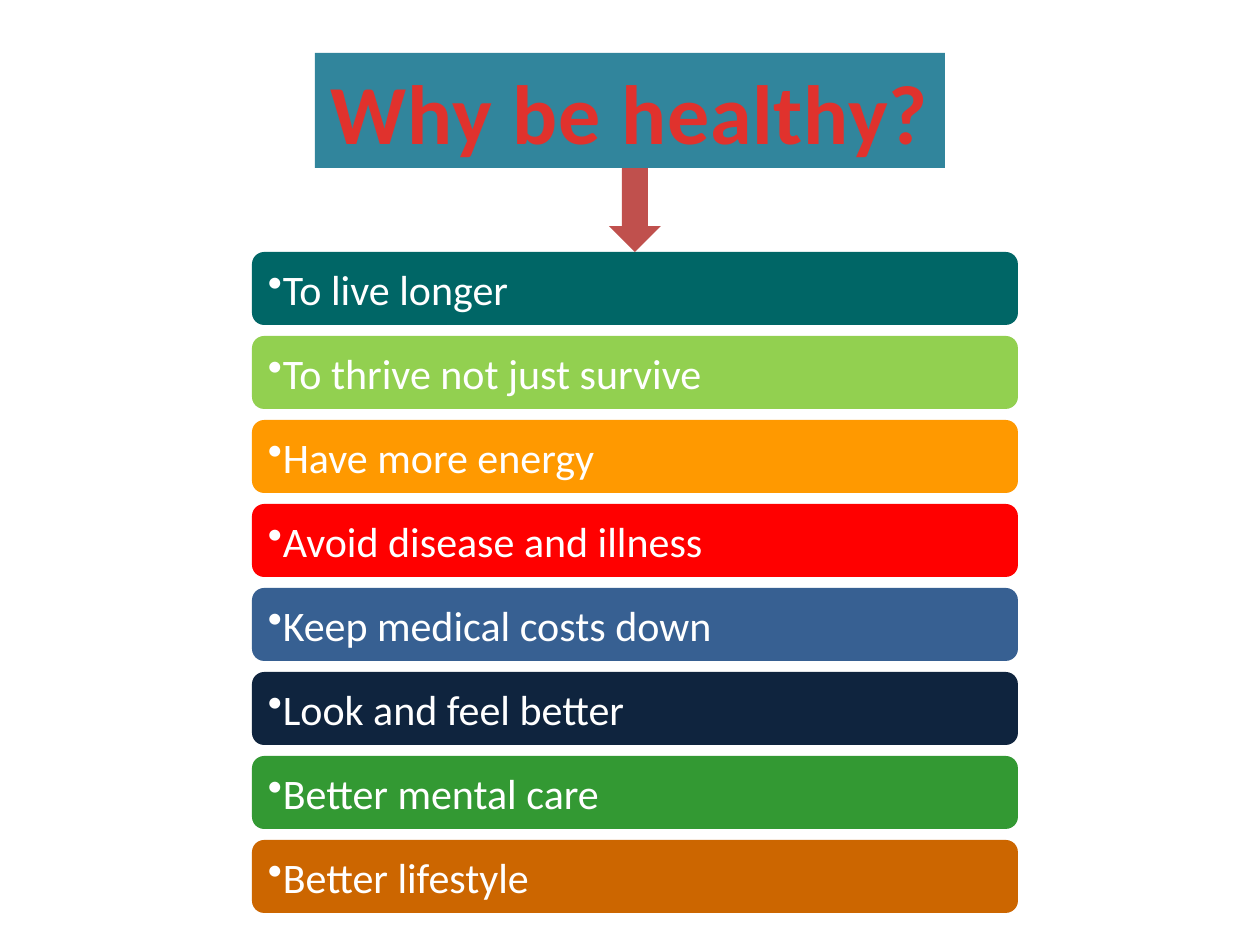
from lxml.etree import SubElement
from pptx import Presentation
from pptx.dml.color import RGBColor
from pptx.enum.shapes import MSO_SHAPE
from pptx.enum.text import MSO_ANCHOR, PP_ALIGN
from pptx.oxml.ns import qn
from pptx.util import Inches, Pt

SCALE = Inches(1) / 126
FONT = "Calibri"
WHITE = RGBColor(0xFF, 0xFF, 0xFF)
BLUE = RGBColor(0x31, 0x85, 0x9C)
RED = RGBColor(0xE0, 0x32, 0x2D)
BRICK = RGBColor(0xC0, 0x50, 0x4D)
REASONS = [
    ("To live longer", RGBColor(0x00, 0x66, 0x66)),
    ("To thrive not just survive", RGBColor(0x92, 0xD0, 0x50)),
    ("Have more energy", RGBColor(0xFF, 0x99, 0x00)),
    ("Avoid disease and illness", RGBColor(0xFF, 0x00, 0x00)),
    ("Keep medical costs down", RGBColor(0x37, 0x60, 0x92)),
    ("Look and feel better", RGBColor(0x0F, 0x24, 0x3E)),
    ("Better mental care", RGBColor(0x33, 0x99, 0x33)),
    ("Better lifestyle", RGBColor(0xCC, 0x66, 0x00)),
]
BAR_LEFT, BAR_TOP, BAR_WIDTH, BAR_HEIGHT, BAR_STEP = 252, 252, 766, 73, 84


def px(count):
    """Turn pixels into EMU."""
    return round(count * SCALE)


class Painter:
    """Hold the style and the current slide, and draw each kind of element."""

    def __init__(self, slide, font):
        """Keep the slide and the font."""
        self.slide = slide
        self.font = font

    def shape(self, kind, box, fill):
        """Draw a flat filled shape without an outline."""
        shape = self.slide.shapes.add_shape(kind, *map(px, box))
        shape.shadow.inherit = False
        shape.fill.solid()
        shape.fill.fore_color.rgb = fill
        shape.line.fill.background()
        return shape

    def label(self, shape, text, size, color, align):
        """Put one styled line of text in a shape and return its paragraph."""
        frame = shape.text_frame
        frame.text = text
        frame.vertical_anchor = MSO_ANCHOR.MIDDLE
        line = frame.paragraphs[0]
        line.alignment = align
        font = line.runs[0].font
        font.name, font.size = self.font, Pt(size)
        font.color.rgb = color
        return line

    def arrow(self, box, fill):
        """Draw a block arrow that points down."""
        self.shape(MSO_SHAPE.DOWN_ARROW, box, fill)

    def title(self, text, box, fill, color):
        """Draw the heading box with bold, slightly spaced letters."""
        shape = self.shape(MSO_SHAPE.RECTANGLE, box, fill)
        line = self.label(shape, text, 48, color, PP_ALIGN.CENTER)
        shape.text_frame.word_wrap = False
        run = line.runs[0]
        run.font.bold = True
        run._r.get_or_add_rPr().set("spc", "50")

    def bar(self, text, box, fill):
        """Draw a rounded bar with one bulleted reason."""
        shape = self.shape(MSO_SHAPE.ROUNDED_RECTANGLE, box, fill)
        line = self.label(shape, text, 24, WHITE, PP_ALIGN.LEFT)
        SubElement(line._p.get_or_add_pPr(), qn("a:buChar"), char="•")


def main():
    """Build the slide and save it."""
    deck = Presentation()
    deck.slide_width, deck.slide_height = px(1260), px(945)
    slide = deck.slides.add_slide(deck.slide_layouts[6])
    paint = Painter(slide, FONT)
    for row, (text, fill) in enumerate(REASONS):
        top = BAR_TOP + row * BAR_STEP
        paint.bar(text, (BAR_LEFT, top, BAR_WIDTH, BAR_HEIGHT), fill)
    paint.arrow((609, 168, 52, 84), BRICK)
    paint.title("Why be healthy?", (315, 53, 630, 115), BLUE, RED)
    deck.save("out.pptx")


if __name__ == "__main__":
    main()
